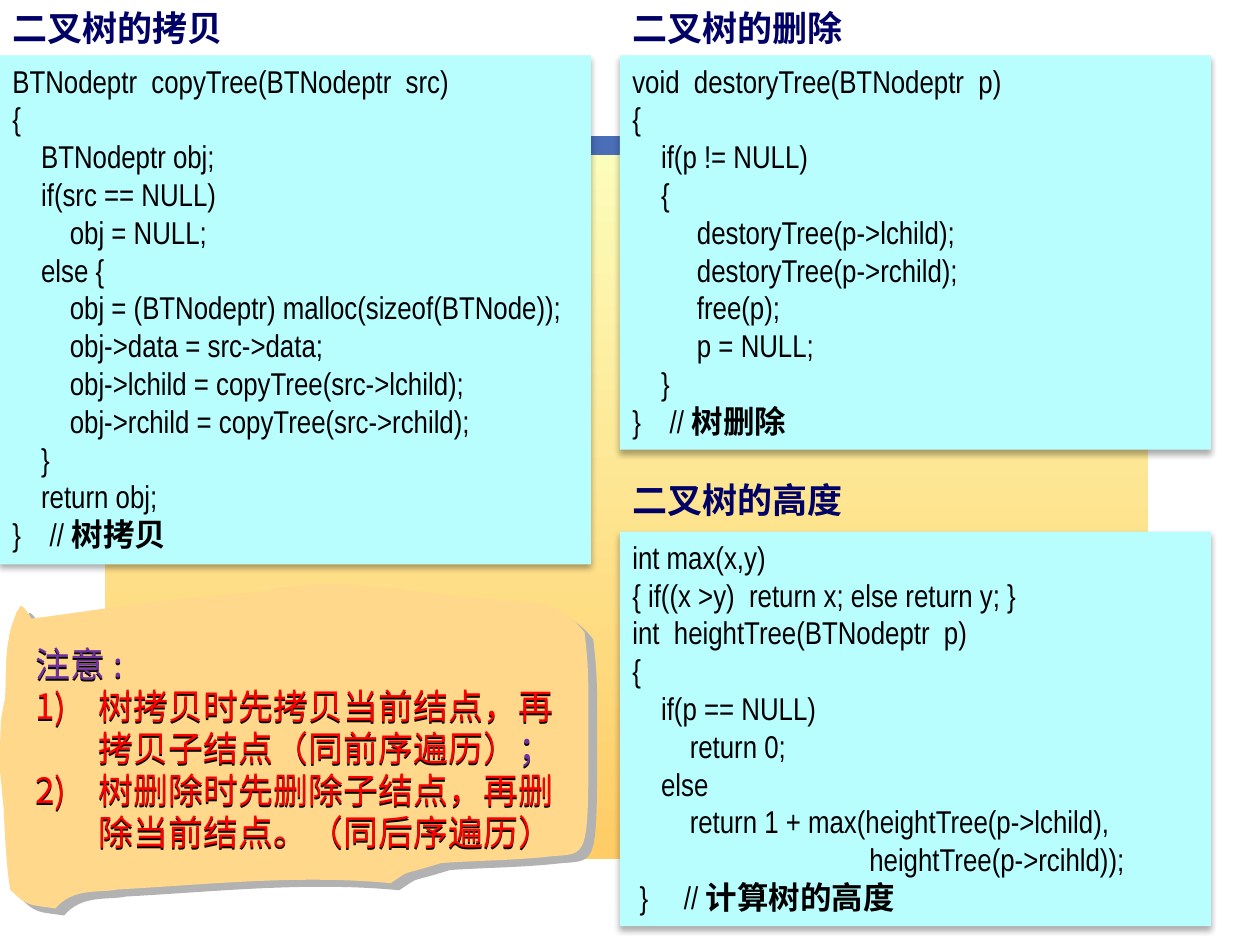
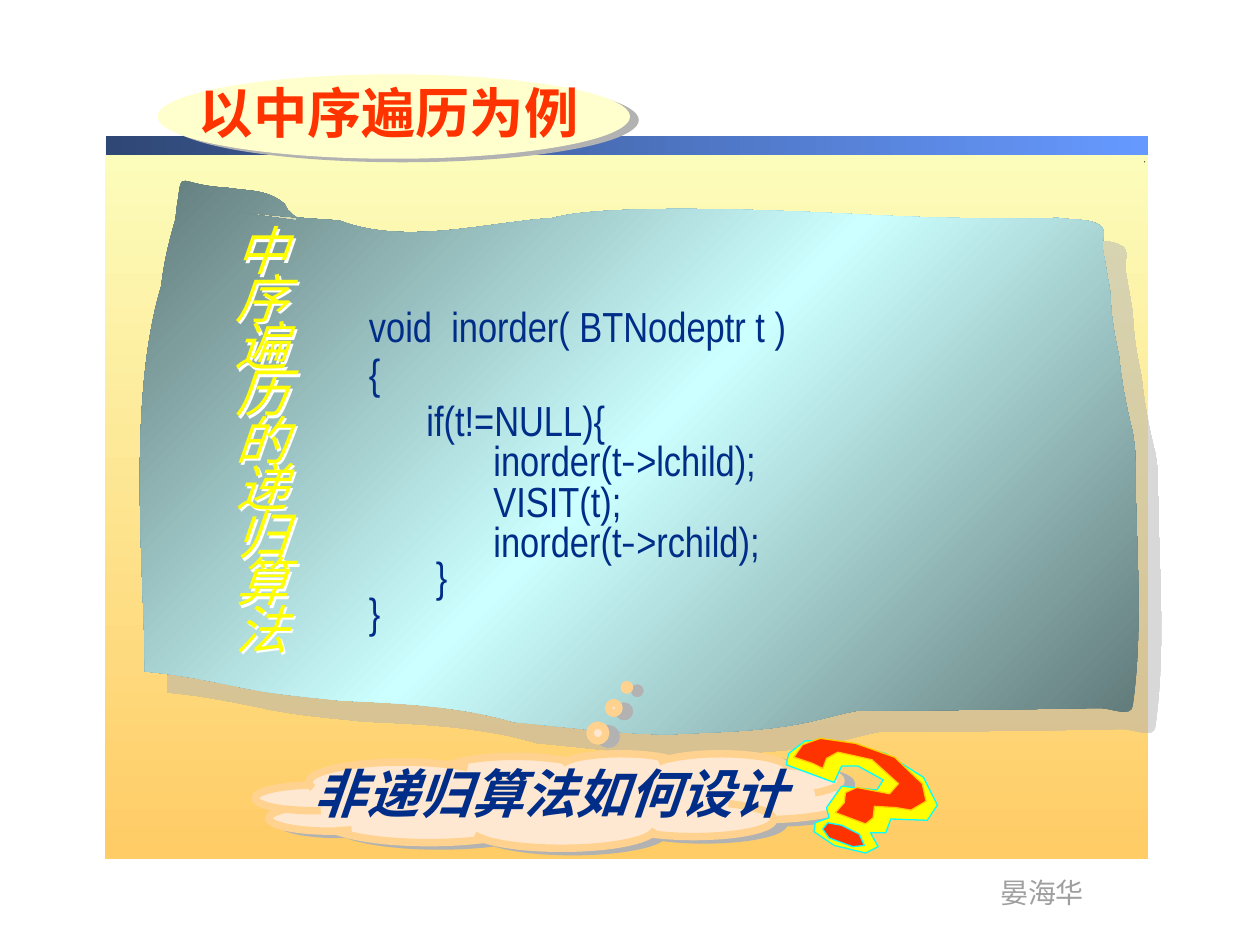
from copy import deepcopy

from lxml import etree
from pptx import Presentation
from pptx import util as u
from pptx.dml.color import RGBColor
from pptx.enum import shapes, text
from pptx.oxml.ns import qn

PX = 9144  # EMU per px, 100 px to the inch
LINE_HEIGHT = 1.2
SPACE_WIDTH = 0.228  # width of a space in the code font, in ems
CODE_FONT = "Arial Narrow"
CJK_FONT = "Noto Sans CJK SC"
TITLE_FONT = "Times New Roman"

COLORS = {
    "panel_top": "FCFEBC", "panel_bottom": "FFCC66",
    "band_left": "2F4775", "band_right": "6699FF",
    "heading": "000066", "code_box": "B9FEFF", "black": "000000", "white": "FFFFFF",
    "note": "FFD88B", "note_label": "7030A0", "note_text": "FF0000",
    "shadow": "B2B2B2", "author": "9F9F9F",
    "scroll_dark": "5E7676", "scroll_light": "CCFFFF",
    "yellow": "FFFF00", "navy": "002D88", "red": "FF3300", "cyan": "00FFFF",
    "gold": "FFCC00", "cloud": "FFE8D1", "cloud_line": "FFD28F", "oval": "FFFFCD",
}

COPY_CODE = """BTNodeptr  copyTree(BTNodeptr  src)
{
    BTNodeptr obj;
    if(src == NULL)
        obj = NULL;
    else {
        obj = (BTNodeptr) malloc(sizeof(BTNode));
        obj->data = src->data;
        obj->lchild = copyTree(src->lchild);
        obj->rchild = copyTree(src->rchild);
    }
    return obj;
}    //树拷贝"""

DELETE_CODE = """void  destoryTree(BTNodeptr  p)
{
    if(p != NULL)
    {
         destoryTree(p->lchild);
         destoryTree(p->rchild);
         free(p);
         p = NULL;
    }
}    //树删除"""

HEIGHT_CODE = """int max(x,y)
{ if((x >y)  return x; else return y; }
int  heightTree(BTNodeptr  p)
{
    if(p == NULL)
        return 0;
    else
        return 1 + max(heightTree(p->lchild),
                                 heightTree(p->rcihld));
 }     //计算树的高度"""

INORDER_CODE = """void  inorder( BTNodeptr t )
{
      if(t!=NULL){
             inorder(t->lchild);
             VISIT(t);
             inorder(t->rchild);
       }
}"""

# Curved outlines: a start point, then two control points and an end point per curve.
NOTE_OUTLINE = [
    (13, 486), (15, 484), (16, 480), (17, 481), (20, 482), (25, 491), (25, 491),
    (87, 483), (144, 473), (207, 470), (266, 454), (330, 472), (388, 475),
    (413, 479), (440, 471), (464, 502), (466, 520), (467, 532), (467, 554),
    (467, 690), (469, 676), (434, 680), (406, 683), (378, 683), (350, 685),
    (315, 696), (328, 689), (310, 701), (237, 694), (166, 702), (93, 706),
    (80, 709), (58, 704), (44, 721), (24, 718), (22, 720), (8, 706),
    (5, 685), (4, 666), (3, 643), (2, 632), (0, 612), (0, 612),
    (0, 598), (0, 583), (1, 570), (2, 564), (3, 560), (4, 554),
    (5, 539), (4, 520), (7, 507), (8, 498), (11, 493), (13, 486),
]
SCROLL_OUTLINE = [
    (171, 166), (204, 170), (235, 173), (269, 175), (321, 195), (383, 177), (439, 173),
    (488, 159), (676, 170), (677, 170), (733, 173), (782, 174), (840, 173),
    (851, 175), (864, 173), (873, 179), (878, 182), (875, 190), (875, 196),
    (877, 208), (879, 219), (881, 231), (882, 251), (884, 264), (888, 282),
    (890, 302), (894, 324), (899, 343), (900, 350), (901, 356), (901, 362),
    (901, 428), (908, 495), (899, 560), (898, 570), (882, 562), (873, 562),
    (809, 563), (745, 564), (681, 564), (664, 567), (649, 572), (632, 575),
    (599, 581), (564, 581), (530, 583), (486, 582), (450, 577), (408, 573),
    (364, 560), (316, 558), (271, 556), (244, 553), (216, 551), (189, 545),
    (164, 540), (140, 535), (115, 533), (115, 459), (100, 320), (128, 227),
    (130, 209), (134, 192), (139, 175), (140, 170), (140, 165), (141, 160),
    (145, 133), (140, 147), (180, 149), (198, 152), (212, 150), (226, 162),
    (227, 164), (228, 167), (230, 168), (236, 175), (235, 169), (235, 175),
]
MARK_EDGE = [
    (668, 608), (681, 608), (701, 619), (696, 627), (668, 624), (656, 641), (658, 649),
    (647, 653), (646, 660), (662, 671), (687, 677), (697, 672), (691, 661), (703, 661),
    (707, 650), (736, 651), (744, 639), (733, 617), (703, 598), (664, 588), (639, 588),
    (626, 598), (624, 607), (662, 621),
]
MARK_HOOK = [
    (630, 601), (645, 606), (653, 610), (656, 602), (665, 597), (692, 603), (702, 612),
    (713, 622), (706, 630), (680, 625), (671, 629), (670, 637), (663, 645), (687, 654),
    (693, 649), (694, 640), (711, 641), (723, 643), (735, 636), (732, 622), (710, 601),
    (679, 590), (651, 586), (637, 591),
]
MARK_DOT = [
    (668, 655), (657, 653), (653, 658), (658, 665), (677, 672), (686, 671), (682, 662),
]
SPECK = [(908, 129), (908, 128), (909, 128)]


def color(name):
    return RGBColor.from_string(COLORS[name])


def add_shadow(shape, name, alpha, blur, distance, angle):
    """Give an outer shadow: alpha in percent, blur and distance in points."""
    shape.shadow.inherit = False
    effects = shape._element.spPr.find(qn("a:effectLst"))
    outer = etree.SubElement(effects, qn("a:outerShdw"), blurRad=str(u.Pt(blur)),
                             dist=str(u.Pt(distance)), dir=str(angle * 60000),
                             algn="ctr", rotWithShape="0")
    shade = etree.SubElement(outer, qn("a:srgbClr"), val=COLORS[name])
    etree.SubElement(shade, qn("a:alpha"), val=str(alpha * 1000))


def paint(shape, fill, line=None, width=0.75):
    shape.shadow.inherit = False
    shape.fill.solid()
    shape.fill.fore_color.rgb = color(fill)
    if line:
        shape.line.color.rgb = color(line)
        shape.line.width = u.Pt(width)
    else:
        shape.line.fill.background()


def paint_gradient(shape, names, angle):
    """Fill with evenly spaced stops; the angle runs clockwise."""
    paint(shape, names[0])
    shape.fill.gradient()
    shape.fill.gradient_angle = (360 - angle) % 360
    stop_list = shape._element.spPr.find(".//" + qn("a:gsLst"))
    for _ in names[2:]:
        stop_list.insert(1, deepcopy(stop_list[0]))
    for index, (stop, name) in enumerate(zip(shape.fill.gradient_stops, names)):
        stop.color.rgb = color(name)
        stop.position = index / (len(names) - 1)


def add_preset(slide, kind, *box):
    return slide.shapes.add_shape(kind, *(value * PX for value in box))


def add_polygon(slide, points, close=True):
    points = [(x * PX, y * PX) for x, y in points]
    builder = slide.shapes.build_freeform(*points[0])
    builder.add_line_segments(points[1:], close=close)
    return builder.convert_to_shape()


def add_curved(slide, outline, close=True):
    """Draw an outline and turn each three of its segments into one cubic curve."""
    shape = add_polygon(slide, outline, close)
    segments = list(shape._element.iter(qn("a:lnTo")))
    for i in range(0, len(segments), 3):
        curve = etree.Element(qn("a:cubicBezTo"))
        segments[i].addprevious(curve)
        for segment in segments[i:i + 3]:
            curve.append(segment[0])
            segment.getparent().remove(segment)
    return shape


def format_run(run, size, name, font=CODE_FONT, bold=False, italic=False):
    run.font.size = u.Pt(size)
    run.font.name = font
    run.font.bold = bold
    run.font.italic = italic
    run.font.color.rgb = color(name)
    etree.SubElement(run._r.get_or_add_rPr(), qn("a:ea"), typeface=CJK_FONT)


def write(shape, content, size, name, spacing=1, anchor=text.MSO_ANCHOR.TOP, **style):
    frame = shape.text_frame
    frame.word_wrap = True
    frame.vertical_anchor = anchor
    frame.text = content
    for paragraph in frame.paragraphs:
        paragraph.alignment = text.PP_ALIGN.LEFT
        paragraph.line_spacing = u.Pt(round(size * LINE_HEIGHT * spacing, 1))
        for run in paragraph.runs:
            format_run(run, size, name, **style)
    return frame.paragraphs


def add_label(slide, box, content, size, name, **style):
    label = slide.shapes.add_textbox(*(value * PX for value in box))
    write(label, content, size, name, **style)
    return label


def write_code(shape, code, size, name, spacing=1):
    """Write code lines, turning their leading spaces into paragraph indents."""
    lines = code.split("\n")
    stripped = "\n".join(line.lstrip() for line in lines)
    paragraphs = write(shape, stripped, size, name, spacing)
    for line, paragraph in zip(lines, paragraphs):
        depth = len(line) - len(line.lstrip())
        if depth:
            margin = u.Pt(depth * size * SPACE_WIDTH)
            paragraph._p.get_or_add_pPr().set("marL", str(margin))
        statement, slashes, comment = line.lstrip().partition("//")
        if comment:
            paragraph.runs[0].text = statement + slashes
            run = paragraph.add_run()
            run.text = comment
            format_run(run, size, name, bold=True)
    return paragraphs


def add_master_background(master, slide):
    """Draw the panel and its band on a slide, then move them to the master."""
    panel = add_preset(slide, shapes.MSO_SHAPE.RECTANGLE, 83, 110, 828, 572)
    paint_gradient(panel, ["panel_top", "panel_bottom"], 90)
    band = add_preset(slide, shapes.MSO_SHAPE.RECTANGLE, 84, 108, 827, 15)
    paint_gradient(band, ["band_left", "band_right"], 0)
    for number, shape in enumerate((panel, band), start=101):
        shape._element.nvSpPr.cNvPr.set("id", str(number))
        master.shapes._spTree.append(shape._element)


def add_code_section(slide, left, top, heading, code, box_top, height):
    add_label(slide, (left, top, 315, 44), heading, 20, "heading", font=CJK_FONT, bold=True)
    box = add_preset(slide, shapes.MSO_SHAPE.RECTANGLE, left, box_top, 469, height)
    paint(box, "code_box")
    add_shadow(box, "black", 32, 3.5, 2.2, 90)
    write_code(box, code, 18, "black")


def add_note(slide):
    paper = add_curved(slide, NOTE_OUTLINE)
    paint(paper, "note")
    add_shadow(paper, "shadow", 100, 0, 6.4, 39)
    content = ("注意:\n树拷贝时先拷贝当前结点，再拷贝子结点（同前序遍历）\n"
               "树删除时先删除子结点，再删除当前结点。（同后序遍历）")
    note = add_label(slide, (18, 505, 440, 178), content, 20, "note_text", font=CJK_FONT)
    add_shadow(note, "black", 100, 0, 1.2, 90)
    label, *items = note.text_frame.paragraphs
    label.runs[0].font.color.rgb = color("note_label")
    for item in items:
        properties = item._p.get_or_add_pPr()
        properties.set("marL", str(50 * PX))
        properties.set("indent", str(-50 * PX))
        etree.SubElement(properties, qn("a:buAutoNum"), type="arabicParenR")
    semicolon = items[0].add_run()
    semicolon.text = "；"
    format_run(semicolon, 20, "note_label", font=CJK_FONT)


def add_scroll(slide):
    scroll = add_curved(slide, SCROLL_OUTLINE, close=False)
    paint_gradient(scroll, ["scroll_dark", "scroll_light", "scroll_dark"], 45)
    add_shadow(scroll, "shadow", 50, 0, 17.7, 43)
    caption = add_label(slide, (177, 181, 115, 348), "\n".join("中序遍历的递归算法"),
                        30, "yellow", spacing=0.75, italic=True)
    add_shadow(caption, "white", 100, 0, 2, 45)
    code_box = slide.shapes.add_textbox(283 * PX, 242 * PX, 633 * PX, 273 * PX)
    paragraphs = write_code(code_box, INORDER_CODE, 24, "navy", 0.8)
    for paragraph in paragraphs[:2]:
        paragraph.space_after = u.Pt(3.8)
    for paragraph in paragraphs[-2:]:
        paragraph.line_spacing = u.Pt(20.2)
    for paragraph in paragraphs:
        before, dash, after = paragraph.text.partition("-")
        if dash:
            paragraph.runs[0].text = before
            for part, font in ((dash, CJK_FONT), (after, CODE_FONT)):
                run = paragraph.add_run()
                run.text = part
                format_run(run, 24, "navy", font=font)


def add_question(slide):
    cloud = add_preset(slide, shapes.MSO_SHAPE.CLOUD_CALLOUT, 203, 598, 475, 75)
    cloud.adjustments[0] = 0.12
    cloud.adjustments[1] = -1.2
    paint(cloud, "cloud", "cloud_line", 4.25)
    add_shadow(cloud, "shadow", 100, 0, 6.3, 18)
    add_label(slide, (239, 599, 498, 60), "非递归算法如何设计", 30, "navy",
              anchor=text.MSO_ANCHOR.MIDDLE, font=TITLE_FONT, bold=True, italic=True)
    for points, fill, line in ((MARK_EDGE, "yellow", "cyan"), (MARK_HOOK, "red", "gold"),
                               (MARK_DOT, "red", "cyan")):
        paint(add_polygon(slide, points), fill, line)


def add_title(slide):
    oval = add_preset(slide, shapes.MSO_SHAPE.OVAL, 125, 59, 375, 67)
    paint(oval, "oval")
    add_shadow(oval, "shadow", 100, 0, 5.4, 22)
    add_label(slide, (148, 58, 358, 62), "以中序遍历为例", 31, "red",
              anchor=text.MSO_ANCHOR.MIDDLE, font=TITLE_FONT, bold=True)


def main():
    presentation = Presentation()
    presentation.slide_width = 1000 * PX
    presentation.slide_height = 750 * PX
    operations, traversal = (presentation.slides.add_slide(presentation.slide_layouts[6])
                             for _ in range(2))
    add_master_background(presentation.slide_master, operations)

    add_code_section(operations, 0, 0, "二叉树的拷贝", COPY_CODE, 44, 404)
    add_code_section(operations, 492, 0, "二叉树的删除", DELETE_CODE, 44, 313)
    add_code_section(operations, 492, 375, "二叉树的高度", HEIGHT_CODE, 422, 313)
    add_note(operations)

    author = add_label(traversal, (784, 690, 87, 37), "晏海华", 16, "author")
    author.text_frame.word_wrap = False
    add_scroll(traversal)
    add_question(traversal)
    paint(add_polygon(traversal, SPECK), "black")
    add_title(traversal)
    presentation.save("out.pptx")


if __name__ == "__main__":
    main()
